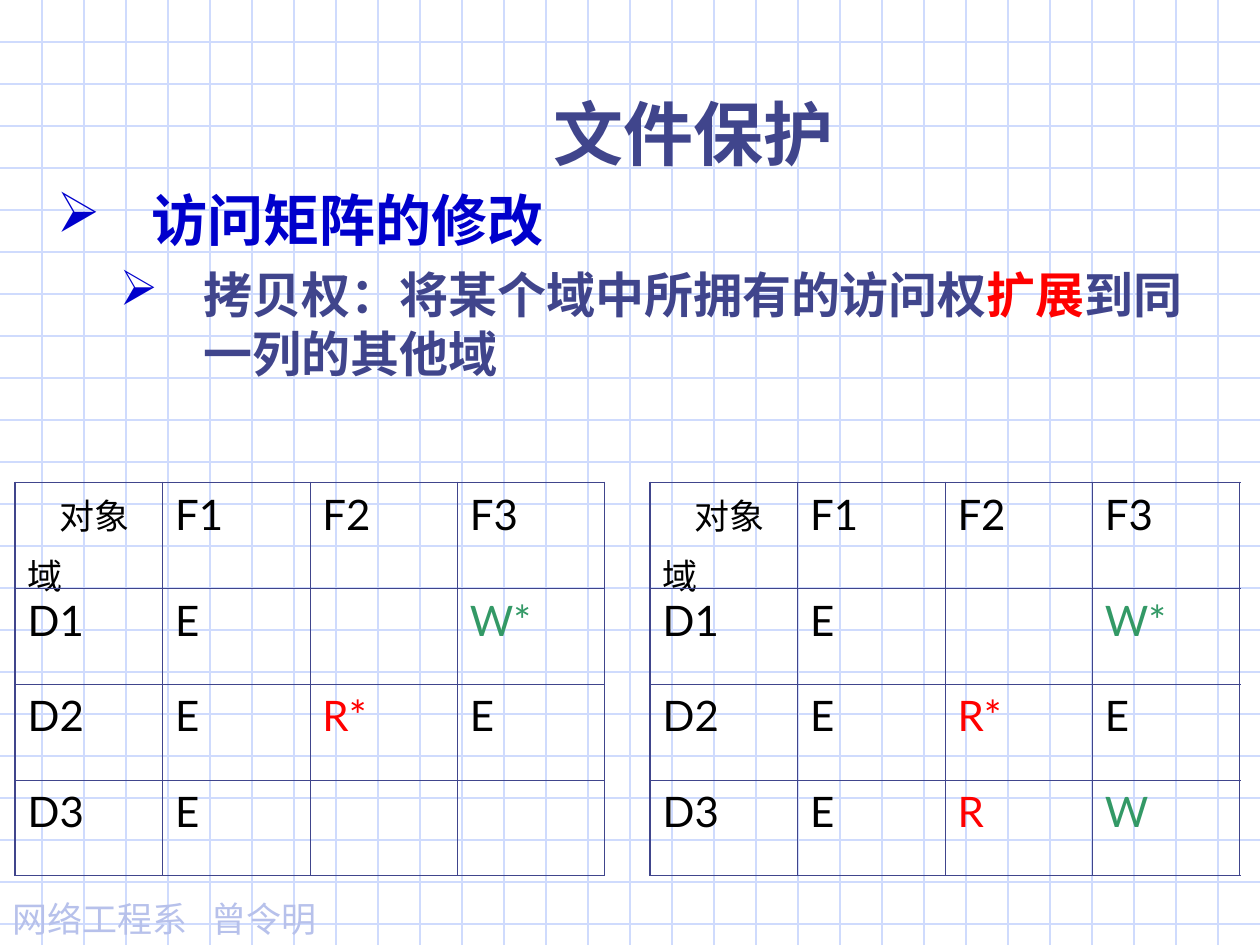
"""Build the file protection slide: access matrix before and after copy rights."""
from lxml import etree
from pptx import Presentation
from pptx.dml.color import RGBColor
from pptx.enum import shapes, text
from pptx.oxml import ns
from pptx.util import Inches, Pt

INDIGO = RGBColor(0x40, 0x45, 0x8C)
BLUE = RGBColor(0x00, 0x00, 0xCC)
RED = RGBColor(0xFF, 0x00, 0x00)
GREEN = RGBColor(0x33, 0x99, 0x66)
BLACK = RGBColor(0x00, 0x00, 0x00)
LILAC = RGBColor(0xB7, 0xC1, 0xEB)
GRID = RGBColor(0xCF, 0xDB, 0xFD)
CJK = "Noto Sans CJK JP"

WIDTH, HEIGHT = 10, 7.5
TITLE = "文件保护"
FOOTER = "网络工程系\t曾令明"
HEADING = [("访问矩阵的修改", BLUE)]
COPY_RIGHT = [
    ("拷贝权：将某个域中所拥有的访问权", INDIGO),
    ("扩展", RED),
    ("到同一列的其他域", INDIGO),
]
HEADER = ["对象\n域", "F1", "F2", "F3"]
SHARED_ROWS = [HEADER, ["D1", "E", "", "W*"], ["D2", "E", "R*", "E"]]
MATRICES = [
    (0.12, SHARED_ROWS + [["D3", "E", "", ""]]),
    (5.16, SHARED_ROWS + [["D3", "E", "R", "W"]]),
]
RIGHT_COLORS = {"R": RED, "R*": RED, "W": GREEN, "W*": GREEN}
MATRIX_TOP, COLUMN_WIDTH = 3.83, 1.17
ROW_HEIGHTS = [0.84, 0.76, 0.76, 0.76]


def style(font, size, color, name, bold=False):
    font.size, font.name, font.bold = Pt(size), name, bold
    font.color.rgb = color


def add_element(parent, tag, **attributes):
    return etree.SubElement(parent, ns.qn(tag), attributes)


def add_grid_line(slide, x1, y1, x2, y2):
    line = slide.shapes.add_connector(
        shapes.MSO_CONNECTOR.STRAIGHT, Inches(x1), Inches(y1), Inches(x2), Inches(y2))
    line.line.color.rgb = GRID
    line.line.width = Pt(0.75)
    add_element(line._element.spPr, "a:effectLst")


def add_text_frame(slide, left, top, width, height):
    frame = slide.shapes.add_textbox(
        Inches(left), Inches(top), Inches(width), Inches(height)).text_frame
    frame.word_wrap = True
    return frame


def add_bullet(paragraph, runs, size, name, margin, hanging):
    properties = paragraph._p.get_or_add_pPr()
    properties.set("marL", str(Inches(margin)))
    properties.set("indent", str(-Inches(hanging)))
    add_element(add_element(properties, "a:buClr"), "a:srgbClr", val=str(BLUE))
    add_element(properties, "a:buChar", char="➢")
    for words, color in runs:
        run = paragraph.add_run()
        run.text = words
        style(run.font, size, color, name, bold=True)


def set_borders(cell, row, column, last_row, last_column):
    outer_edges = {
        "a:lnL": column == 0, "a:lnR": column == last_column,
        "a:lnT": row == 0, "a:lnB": row == last_row,
    }
    properties = cell._tc.get_or_add_tcPr()
    for tag, outer in outer_edges.items():
        border = add_element(properties, tag, w=str(Pt(1.08 if outer else 0.45)))
        add_element(add_element(border, "a:solidFill"), "a:srgbClr", val=str(INDIGO))


def fill_cell(cell, words):
    cell.text_frame.text = words
    corner = words == HEADER[0]
    for index, paragraph in enumerate(cell.text_frame.paragraphs):
        if index:
            paragraph.space_before = Pt(5)
        elif corner:
            paragraph._p.get_or_add_pPr().set("marL", str(Inches(0.25)))
        for run in paragraph.runs:
            style(run.font, 20 if corner else 24, RIGHT_COLORS.get(words, BLACK), "Lato")


def add_matrix(slide, left, rows):
    columns = len(HEADER)
    matrix = slide.shapes.add_table(
        len(rows), columns, Inches(left), Inches(MATRIX_TOP),
        Inches(COLUMN_WIDTH * columns), Inches(sum(ROW_HEIGHTS))).table
    matrix.first_row = matrix.horz_banding = False
    for column in matrix.columns:
        column.width = Inches(COLUMN_WIDTH)
    for r, (rights, height) in enumerate(zip(rows, ROW_HEIGHTS)):
        matrix.rows[r].height = Inches(height)
        for c, words in enumerate(rights):
            cell = matrix.cell(r, c)
            fill_cell(cell, words)
            set_borders(cell, r, c, len(rows) - 1, columns - 1)
            cell.fill.background()


def main():
    deck = Presentation()
    deck.slide_width, deck.slide_height = Inches(WIDTH), Inches(HEIGHT)
    slide = deck.slides.add_slide(deck.slide_layouts[6])

    for step in range(1, 23):
        add_grid_line(slide, 0, step / 3, WIDTH, step / 3)
    for step in range(1, 30):
        add_grid_line(slide, step / 3, 0, step / 3, HEIGHT)

    footer = add_text_frame(slide, 0, 7.07, 2.67, 0.44).paragraphs[0]
    footer.text = FOOTER
    tabs = add_element(footer._p.get_or_add_pPr(), "a:tabLst")
    add_element(tabs, "a:tab", pos=str(Inches(1.58)), algn="l")
    for run in footer.runs:
        style(run.font, 20, LILAC, CJK)

    body = add_text_frame(slide, 0.35, 1.42, 9.45, 1.63)
    add_bullet(body.paragraphs[0], HEADING, 32, "Times New Roman", 0.75, 0.75)
    detail = body.add_paragraph()
    detail.level = 1
    detail.space_before = Pt(7)
    add_bullet(detail, COPY_RIGHT, 28, "Lato", 1.17, 0.67)

    title = add_text_frame(slide, 1.42, 0.67, 8.17, 0.77).paragraphs[0]
    title.text = TITLE
    title.alignment = text.PP_ALIGN.CENTER
    style(title.runs[0].font, 40, INDIGO, CJK, bold=True)

    for left, rows in MATRICES:
        add_matrix(slide, left, rows)
    deck.save("out.pptx")


if __name__ == "__main__":
    main()
